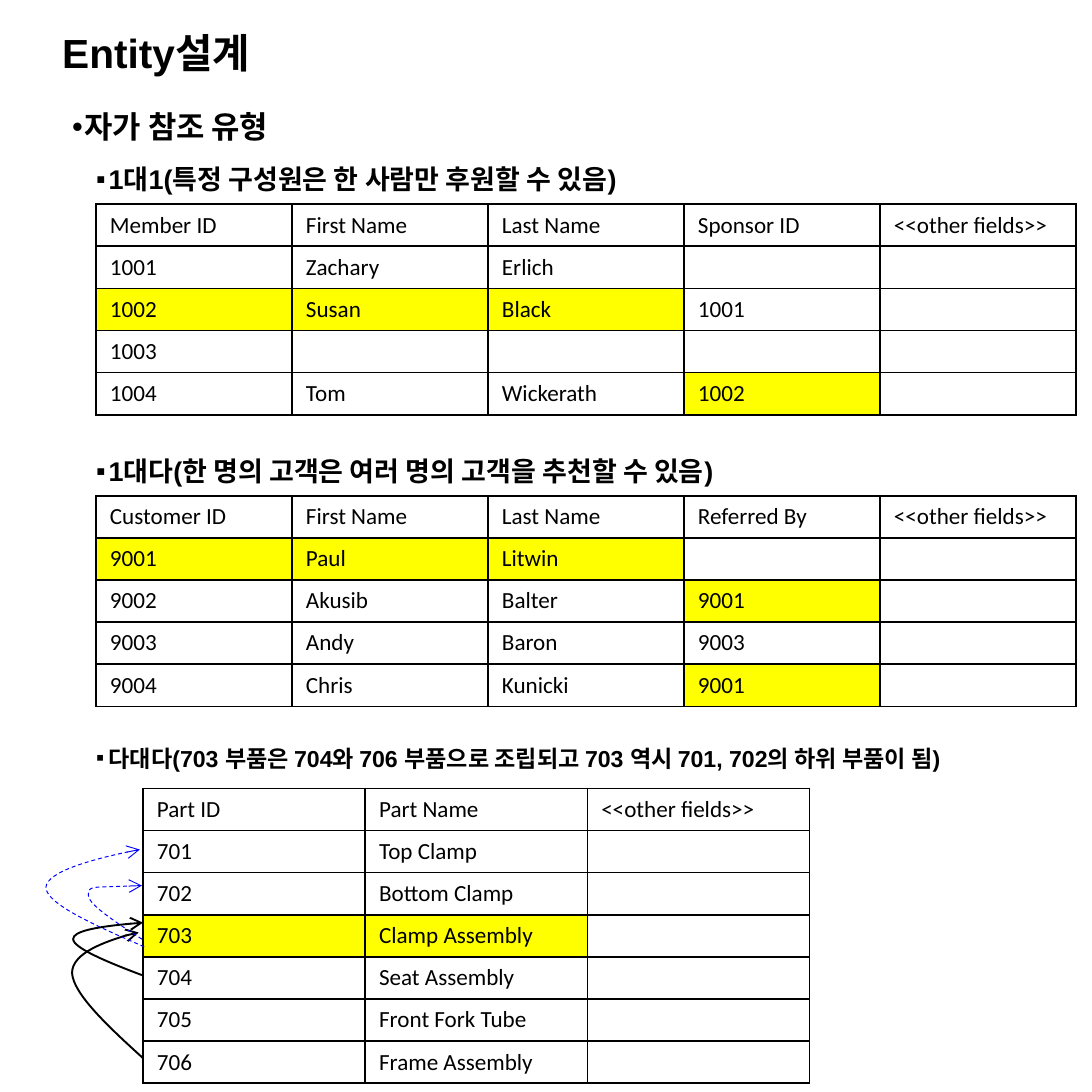
"""Slide on self-referencing entity designs, with three example tables."""
from dataclasses import dataclass

from lxml import etree
from pptx import Presentation
from pptx import util as u
from pptx.dml.color import RGBColor
from pptx.enum import dml, text
from pptx.oxml.ns import qn

BLACK = RGBColor(0, 0, 0)
WHITE = RGBColor(255, 255, 255)
YELLOW = RGBColor(255, 255, 0)
BLUE = RGBColor(0, 0, 255)
SIDE = u.Inches(7.87)
ROW = 3.86
HEADING_HEIGHT = 4.2
BULLET_INDENT = u.Inches(0.09)
OTHER = "<<other fields>>"


@dataclass
class Heading:
    wording: str
    left: float
    middle: float
    size: float
    bullet: str = ""


@dataclass
class Example:
    left: float
    top: float
    column: float
    rows: list[list[str]]
    marked: set[tuple[int, int]]


@dataclass
class Reference:
    points: list[tuple[float, float]]
    color: RGBColor = BLACK
    width: float = 1
    dashed: bool = False


HEADINGS = [
    Heading("Entity설계", 5.7, 4.75, 21.1),
    Heading("자가 참조 유형", 6.6, 11.6, 16, "•"),
    Heading("1대1(특정 구성원은 한 사람만 후원할 수 있음)", 8.8, 16.4, 14, "▪"),
    Heading("1대다(한 명의 고객은 여러 명의 고객을 추천할 수 있음)", 8.8, 43.1, 14, "▪"),
    Heading("다대다(703 부품은 704와 706 부품으로 조립되고 703 역시 701, 702의 하위 부품이 됨)",
            8.8, 69.4, 12, "▪"),
]

EXAMPLES = [
    Example(8.8, 18.7, 17.95, [
        ["Member ID", "First Name", "Last Name", "Sponsor ID", OTHER],
        ["1001", "Zachary", "Erlich", "", ""],
        ["1002", "Susan", "Black", "1001", ""],
        ["1003", "", "", "", ""],
        ["1004", "Tom", "Wickerath", "1002", ""],
    ], {(2, 0), (2, 1), (2, 2), (4, 3)}),
    Example(8.8, 45.4, 17.95, [
        ["Customer ID", "First Name", "Last Name", "Referred By", OTHER],
        ["9001", "Paul", "Litwin", "", ""],
        ["9002", "Akusib", "Balter", "9001", ""],
        ["9003", "Andy", "Baron", "9003", ""],
        ["9004", "Chris", "Kunicki", "9001", ""],
    ], {(1, 0), (1, 1), (1, 2), (2, 3), (4, 3)}),
    Example(13.1, 72.2, 20.35, [
        ["Part ID", "Part Name", OTHER],
        ["701", "Top Clamp", ""],
        ["702", "Bottom Clamp", ""],
        ["703", "Clamp Assembly", ""],
        ["704", "Seat Assembly", ""],
        ["705", "Front Fork Tube", ""],
        ["706", "Frame Assembly", ""],
    ], {(3, 0), (3, 1)}),
]

REFERENCES = [
    Reference([(13.1, 96.9), (9.9, 94), (6.7, 91), (6.6, 89.1),
               (6.6, 87.2), (12.2, 85.3), (12.7, 85.4)]),
    Reference([(13, 89.3), (9.8, 88.1), (6.7, 86.8), (6.7, 86),
               (6.7, 85.3), (9.1, 84.8), (13.1, 84.5)]),
    Reference([(13, 86), (10.5, 84.4), (8.1, 82.8), (8.1, 82),
               (8.1, 81.1), (8.3, 81.3), (13, 81.1)], BLUE, 0.5, True),
    Reference([(13.2, 86.7), (8.8, 84.8), (4.3, 82.8), (4.2, 81.3),
               (4.2, 79.8), (10, 78.3), (12.8, 77.8)], BLUE, 0.5, True),
]


def share(percent: float) -> u.Emu:
    """Turn a percentage of the slide's side into a length."""
    return u.Emu(round(SIDE * percent / 100))


def write(frame, wording: str, *, size: float, font: str, bold: bool = False, bullet: str = "") -> None:
    """Put one formatted paragraph into a text frame."""
    paragraph = frame.paragraphs[0]
    paragraph.alignment = text.PP_ALIGN.LEFT
    if bullet:
        properties = paragraph._p.get_or_add_pPr()
        properties.set("marL", str(BULLET_INDENT))
        properties.set("indent", str(-BULLET_INDENT))
        etree.SubElement(properties, qn("a:buFont"), typeface=font)
        etree.SubElement(properties, qn("a:buChar"), char=bullet)
    if wording:
        run = paragraph.add_run()
        run.text = wording
        run.font.size = u.Pt(size)
        run.font.name = font
        run.font.bold = bold
        run.font.color.rgb = BLACK
    else:
        etree.SubElement(paragraph._p, qn("a:endParaRPr"), sz=str(round(size * 100)))


def draw_heading(slide, heading: Heading) -> None:
    """Add a heading centred on its line."""
    frame = slide.shapes.add_textbox(
        share(heading.left), share(heading.middle - HEADING_HEIGHT / 2),
        share(98 - heading.left), share(HEADING_HEIGHT)).text_frame
    frame.margin_left = frame.margin_right = frame.margin_top = frame.margin_bottom = 0
    frame.word_wrap = True
    frame.vertical_anchor = text.MSO_ANCHOR.MIDDLE
    write(frame, heading.wording, size=heading.size, font="Arial", bold=True, bullet=heading.bullet)


def add_borders(cell) -> None:
    """Rule all four sides of a cell."""
    properties = cell._tc.get_or_add_tcPr()
    for side in ("lnL", "lnR", "lnT", "lnB"):
        line = etree.SubElement(properties, qn(f"a:{side}"), w=str(u.Pt(1)))
        fill = etree.SubElement(line, qn("a:solidFill"))
        etree.SubElement(fill, qn("a:srgbClr"), val=str(BLACK))


def draw_example(slide, example: Example) -> None:
    """Add an example table with its marked cells."""
    row_count, column_count = len(example.rows), len(example.rows[0])
    table = slide.shapes.add_table(
        row_count, column_count, share(example.left), share(example.top),
        share(example.column * column_count), share(ROW * row_count)).table
    table.first_row = table.horz_banding = False
    for column in table.columns:
        column.width = share(example.column)
    for r, values in enumerate(example.rows):
        table.rows[r].height = share(ROW)
        for c, value in enumerate(values):
            cell = table.cell(r, c)
            add_borders(cell)
            cell.fill.solid()
            cell.fill.fore_color.rgb = YELLOW if (r, c) in example.marked else WHITE
            write(cell.text_frame, value, size=12, font="Calibri")


def draw_reference(slide, reference: Reference) -> None:
    """Add a curved arrow whose points are cubic Bezier nodes."""
    start, *nodes = [(share(x), share(y)) for x, y in reference.points]
    builder = slide.shapes.build_freeform(*start)
    builder.add_line_segments(nodes, close=False)
    arrow = builder.convert_to_shape()
    arrow.shadow.inherit = False
    arrow.fill.background()
    arrow.line.color.rgb = reference.color
    arrow.line.width = u.Pt(reference.width)
    if reference.dashed:
        arrow.line.dash_style = dml.MSO_LINE.DASH
    etree.SubElement(arrow.line._get_or_add_ln(), qn("a:tailEnd"), type="arrow")
    segments = list(arrow._element.iter(qn("a:lnTo")))
    outline = segments[0].getparent()
    for first in range(0, len(segments), 3):
        curve = etree.SubElement(outline, qn("a:cubicBezTo"))
        for segment in segments[first:first + 3]:
            curve.append(segment[0])
            outline.remove(segment)


def main() -> None:
    """Build and save the slide."""
    deck = Presentation()
    deck.slide_width = deck.slide_height = SIDE
    slide = deck.slides.add_slide(deck.slide_layouts[6])
    for heading in HEADINGS:
        draw_heading(slide, heading)
    for example in EXAMPLES:
        draw_example(slide, example)
    for reference in REFERENCES:
        draw_reference(slide, reference)
    deck.save("out.pptx")


if __name__ == "__main__":
    main()
